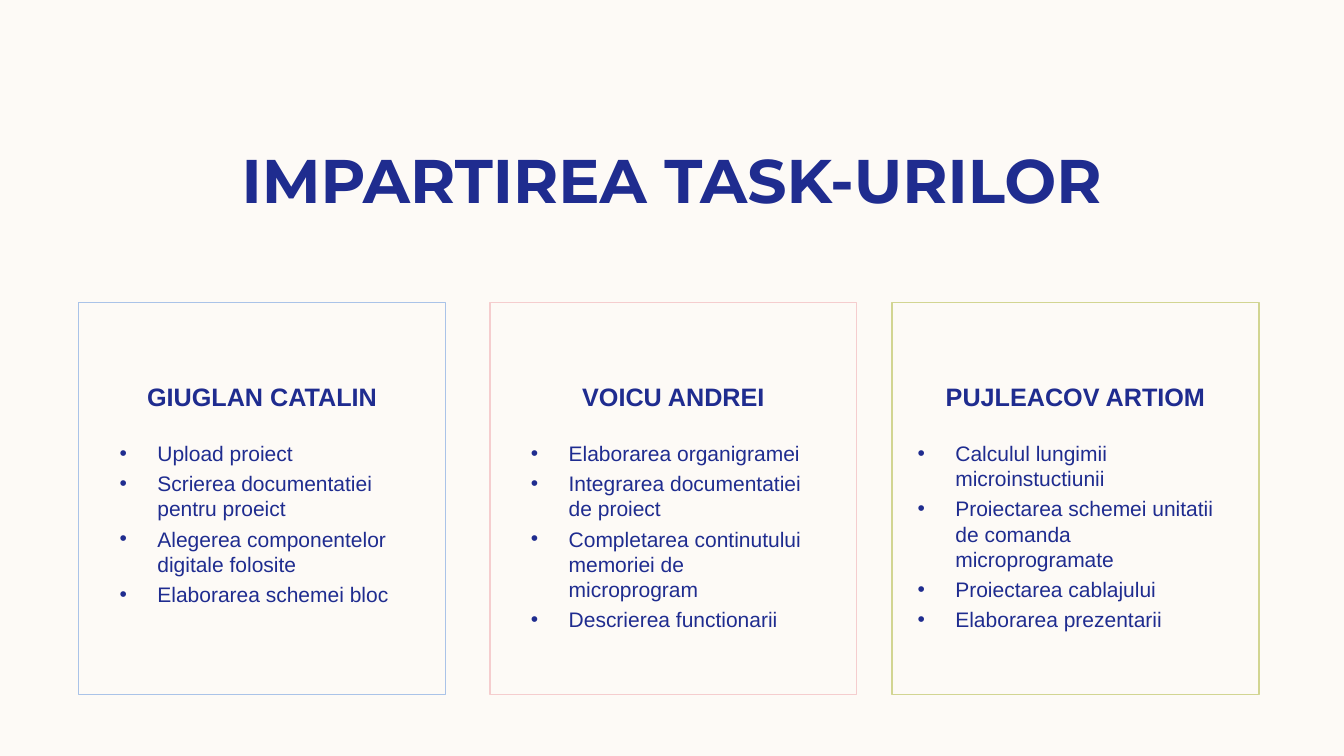
import pptx
import pptx.dml.color
import pptx.enum.shapes
import pptx.enum.text
import pptx.oxml.ns
import pptx.util
from lxml import etree

Pt = pptx.util.Pt
NAVY = "1F2C8F"
CARD_TOP, CARD_WIDTH, CARD_HEIGHT = 216, 262, 280

# Name, outline colour, left edge, side margin of the list, tasks
CARDS = [
    ("GIUGLAN CATALIN", "AAC3E8", 56.2, 22, [
        "Upload proiect",
        "Scrierea documentatiei pentru proeict",
        "Alegerea componentelor digitale folosite",
        "Elaborarea schemei bloc",
    ]),
    ("VOICU ANDREI", "F5CDCE", 350, 22, [
        "Elaborarea organigramei",
        "Integrarea documentatiei de proiect",
        "Completarea continutului memoriei de microprogram",
        "Descrierea functionarii",
    ]),
    ("PUJLEACOV ARTIOM", "D2D592", 637.2, 11, [
        "Calculul lungimii microinstuctiunii",
        "Proiectarea schemei unitatii de comanda microprogramate",
        "Proiectarea cablajului",
        "Elaborarea prezentarii",
    ]),
]


def color(value):
    return pptx.dml.color.RGBColor.from_string(value)


def place(sp, left, top, width, height):
    sp.left, sp.top, sp.width, sp.height = Pt(left), Pt(top), Pt(width), Pt(height)


def setup_frame(sp, anchor, inset_top=3.6):
    tf = sp.text_frame
    tf.word_wrap = True
    tf.auto_size = pptx.enum.text.MSO_AUTO_SIZE.NONE
    tf.vertical_anchor = anchor
    tf.margin_left = tf.margin_right = Pt(7.2)
    tf.margin_top, tf.margin_bottom = Pt(inset_top), Pt(3.6)
    return tf


def add_run(p, text, size, font="Arial", bold=False):
    r = p.add_run()
    r.text = text
    r.font.name, r.font.size, r.font.bold = font, Pt(size), bold
    r.font.color.rgb = color(NAVY)


def add_bullet(p):
    pPr = p._p.get_or_add_pPr()
    pPr.set("marL", str(Pt(27)))
    pPr.set("indent", str(-Pt(27)))
    for tag, attr, value in (("a:buFont", "typeface", "Arial"), ("a:buChar", "char", "•")):
        etree.SubElement(pPr, pptx.oxml.ns.qn(tag)).set(attr, value)


def fill_title(sp, text, left, top, width, height):
    place(sp, left, top, width, height)
    p = setup_frame(sp, pptx.enum.text.MSO_ANCHOR.MIDDLE).paragraphs[0]
    p.alignment = pptx.enum.text.PP_ALIGN.CENTER
    add_run(p, text, 44, "Montserrat", True)


def add_card(s, name, outline, left, top, width, height):
    sp = s.shapes.add_shape(pptx.enum.shapes.MSO_SHAPE.RECTANGLE,
                            Pt(left), Pt(top), Pt(width), Pt(height))
    sp.shadow.inherit = False
    sp.fill.background()
    sp.line.color.rgb = color(outline)
    sp.line.width = Pt(1)
    p = setup_frame(sp, pptx.enum.text.MSO_ANCHOR.TOP, 54).paragraphs[0]
    p.alignment = pptx.enum.text.PP_ALIGN.CENTER
    p.line_spacing = 1.1
    add_run(p, name, 18, bold=True)


def fill_tasks(sp, tasks, left, top, width, height):
    place(sp, left, top, width, height)
    tf = setup_frame(sp, pptx.enum.text.MSO_ANCHOR.TOP)
    for i, task in enumerate(tasks):
        p = tf.add_paragraph() if i else tf.paragraphs[0]
        add_bullet(p)
        p.alignment = pptx.enum.text.PP_ALIGN.LEFT
        p.line_spacing = Pt(18)
        p.space_before = Pt(3.6 if i else 0)
        add_run(p, task, 15)


def build_task_slide(prs):
    s = prs.slides.add_slide(prs.slide_layouts[4])
    s.background.fill.solid()
    s.background.fill.fore_color.rgb = color("FDFAF6")

    # Title
    fill_title(s.shapes.title, "IMPARTIREA TASK-URILOR", 60, 97.2, 840, 60.5)

    # One framed card and task list per person
    bodies = [sp for sp in s.placeholders if 1 <= sp.placeholder_format.idx <= 4]
    for body, (name, outline, left, margin, tasks) in zip(bodies, CARDS):
        add_card(s, name, outline, left, CARD_TOP, CARD_WIDTH, CARD_HEIGHT)
        fill_tasks(body, tasks, left + margin, CARD_TOP + 95, CARD_WIDTH - 2 * margin, 173.5)

    # Unused placeholders
    for sp in list(s.placeholders):
        if not sp.text_frame.text:
            sp.element.getparent().remove(sp.element)


def main():
    prs = pptx.Presentation()
    prs.slide_width, prs.slide_height = Pt(960), Pt(540)
    build_task_slide(prs)
    prs.save("out.pptx")


if __name__ == "__main__":
    main()
